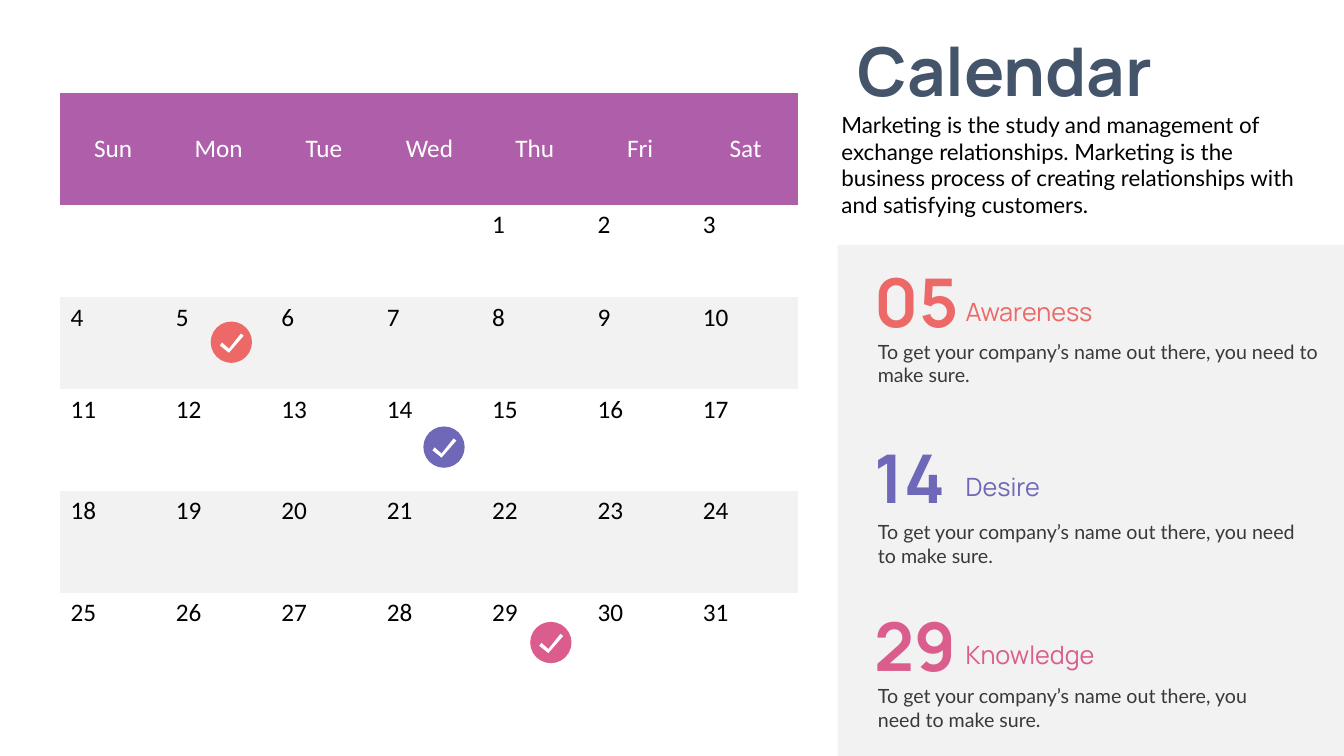
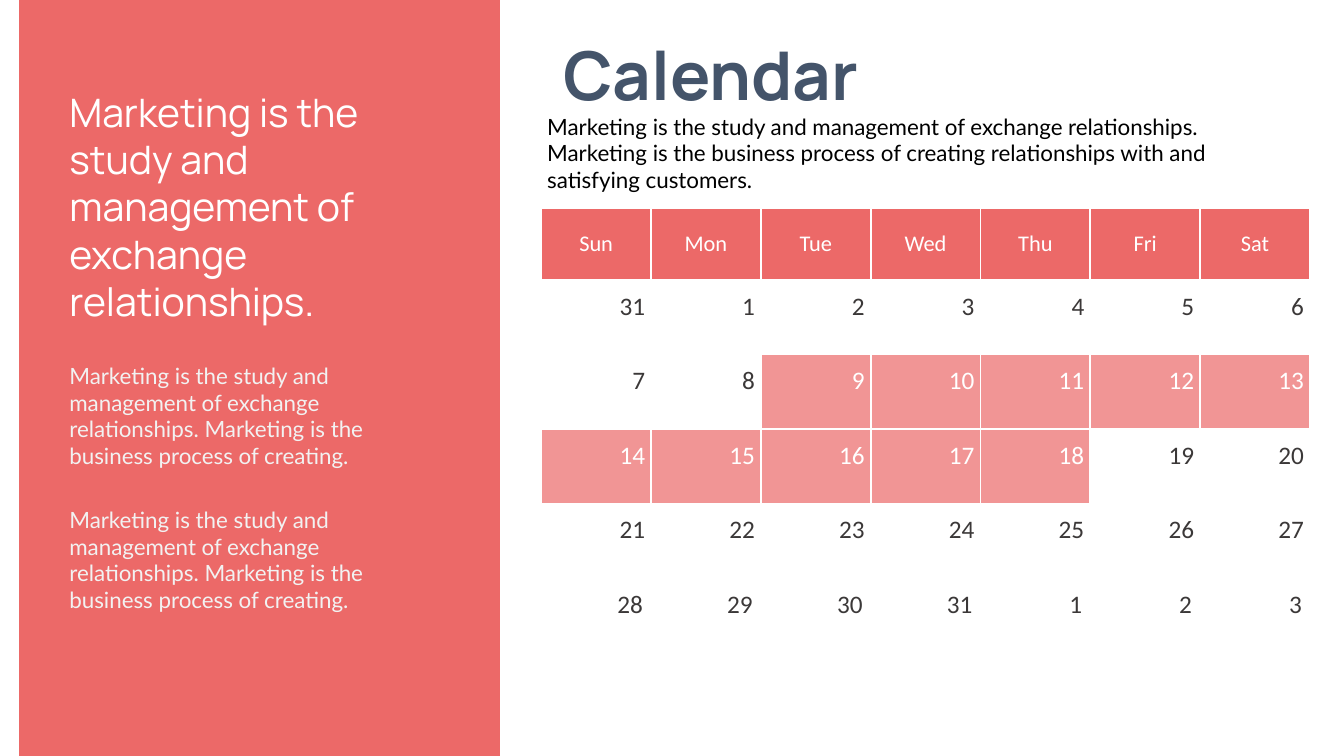
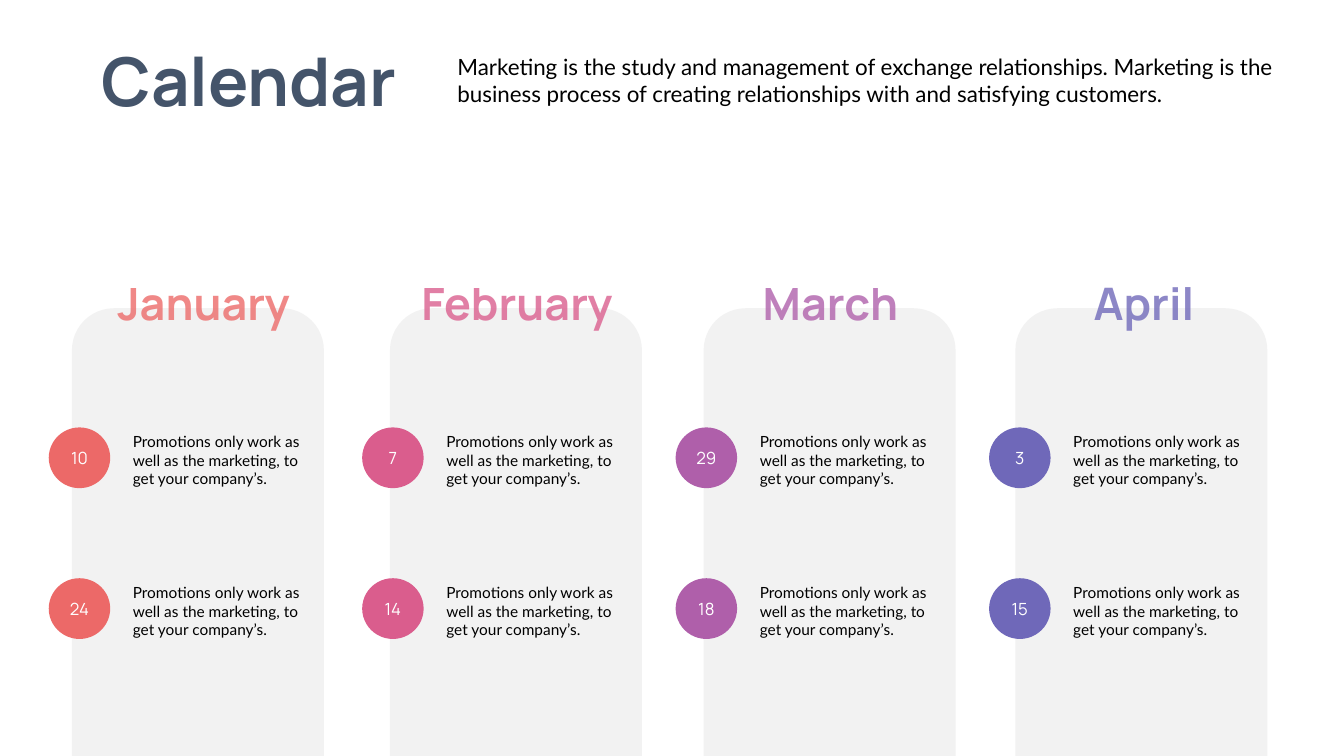
from lxml import etree
from pptx import Presentation
from pptx.dml.color import RGBColor
from pptx.enum import shapes, text
from pptx.oxml.ns import qn
from pptx.util import Pt

COLOURS = {
    "title": "44546A", "black": "000000", "dark": "3B3838",
    "white": "FFFFFF", "grey": "F2F2F2",
    "coral": "EC6968", "pink": "DA5D8D", "purple": "AF5FAA", "violet": "6F68B9",
}
LEFT, CENTER, RIGHT = (text.PP_ALIGN.LEFT, text.PP_ALIGN.CENTER, text.PP_ALIGN.RIGHT)
TOP, MIDDLE = text.MSO_ANCHOR.TOP, text.MSO_ANCHOR.MIDDLE
SHAPE = shapes.MSO_SHAPE
NO_MARGINS = (0, 0, 0, 0)
NO_TABLE_STYLE = "{2D5ABB26-0587-4C30-8999-92F81FD0307C}"


def write(holder, words, size=16, colour="black", font="Lato", bold=False, align=LEFT,
          anchor=TOP, margins=(7.2, 3.6, 7.2, 3.6), spacing=1.0, wrap=True, opacity=None):
    """Put formatted text into a shape or a table cell."""
    frame = holder.text_frame
    frame.word_wrap = wrap
    area = holder if hasattr(holder, "margin_left") else frame
    area.vertical_anchor = anchor
    area.margin_left, area.margin_top, area.margin_right, area.margin_bottom = map(Pt, margins)
    paragraph = frame.paragraphs[0]
    paragraph.alignment = align
    paragraph.line_spacing = spacing
    run = paragraph.add_run()
    run.text = words
    run.font.name, run.font.size, run.font.bold = font, Pt(size), bold
    run.font.color.rgb = RGBColor.from_string(COLOURS[colour])
    if opacity:
        for tint in run._r.iter(qn("a:srgbClr")):
            etree.SubElement(tint, qn("a:alpha"), val=str(opacity * 1000))


def add_item(slide, box, kind=None, colour=None):
    """Add a filled preset shape, or a text box when no kind is given."""
    box = [Pt(length) for length in box]
    if kind is None:
        return slide.shapes.add_textbox(*box)
    shape = slide.shapes.add_shape(kind, *box)
    shape.shadow.inherit = False
    shape.fill.solid()
    shape.fill.fore_color.rgb = RGBColor.from_string(COLOURS[colour])
    shape.line.fill.background()
    return shape


presentation = Presentation()
presentation.slide_width, presentation.slide_height = Pt(960), Pt(540)

# Title and introduction of every slide
INTRO = ("Marketing is the study and management of exchange relationships. Marketing is "
         "the business process of creating relationships with and satisfying customers.")
slides = []
for title_left, title_top, intro_box in [
    (594, 17.3, (594, 75.6, 340, 85)),
    (383.8, 20.2, (383.8, 77, 549.4, 65.5)),
    (54, 24.5, (319.7, 34.6, 622, 46)),
]:
    slide = presentation.slides.add_slide(presentation.slide_layouts[5])
    title = slide.shapes.title
    title.left, title.top, title.width, title.height = map(Pt, (title_left, title_top, 247.7, 65.5))
    write(title, "Calendar", size=48, colour="title", font="Manrope", bold=True,
          align=CENTER, anchor=MIDDLE, wrap=False)
    write(add_item(slide, intro_box), INTRO)
    slides.append(slide)
events_slide, period_slide, months_slide = slides

# Month tables
WEEKDAYS = ["Sun", "Mon", "Tue", "Wed", "Thu", "Fri", "Sat"]
month_tables = [
    dict(slide=events_slide, left=43.2, top=66.4, column=75.3,
         rows=[80, 66, 65.7, 72.6, 72.6, 72.6], days=[""] * 4 + list(range(1, 32)),
         header="purple", header_size=18, ink="black", align=LEFT,
         margins=(7.2, 3.6, 7.2, 3.6), striped=True, period=()),
    dict(slide=period_slide, left=386.6, top=148.6, column=78.45,
         rows=[51.4] + [53.3] * 4 + [65.4], days=[31, *range(1, 32), 1, 2, 3],
         header="coral", header_size=16, ink="dark", align=RIGHT,
         margins=(7.9, 7.9, 4.3, 2.2), striped=False, period=range(9, 19)),
]
for month in month_tables:
    table = month["slide"].shapes.add_table(
        6, 7, Pt(month["left"]), Pt(month["top"]),
        Pt(month["column"] * 7), Pt(sum(month["rows"]))).table
    table._tbl.tblPr.find(qn("a:tableStyleId")).text = NO_TABLE_STYLE
    for column in table.columns:
        column.width = Pt(month["column"])
    for row, height in zip(table.rows, month["rows"]):
        row.height = Pt(height)
    for index, label in enumerate(WEEKDAYS + month["days"]):
        row_number, column_number = divmod(index, 7)
        cell = table.cell(row_number, column_number)
        in_period = index - 7 in month["period"]
        if row_number == 0:
            fill = month["header"]
            write(cell, label, size=month["header_size"], colour="white", font="Calibri",
                  align=CENTER, anchor=MIDDLE)
        else:
            shaded = month["striped"] and row_number % 2 == 0
            fill = "coral" if in_period else "grey" if shaded else None
            margins = month["margins"]
            if row_number == 5 and not month["striped"]:
                margins = (7.9, 7.9, 5.8, 2.9)
            if label:
                write(cell, str(label), size=18, colour="white" if in_period else month["ink"],
                      font="Calibri", align=month["align"], margins=margins)
        if fill:
            cell.fill.solid()
            cell.fill.fore_color.rgb = RGBColor.from_string(COLOURS[fill])
        else:
            cell.fill.background()
        properties = cell._tc.get_or_add_tcPr()
        if in_period:
            for tint in properties.iter(qn("a:srgbClr")):
                etree.SubElement(tint, qn("a:alpha"), val="70000")
        if not month["striped"]:
            for position, side in enumerate(["lnL", "lnR", "lnT", "lnB"]):
                border = etree.Element(qn("a:" + side), w=str(Pt(1.5)))
                border_fill = etree.SubElement(border, qn("a:solidFill"))
                etree.SubElement(border_fill, qn("a:srgbClr"), val=COLOURS["white"])
                properties.insert(position, border)

# Slide 1: event panel, with a check mark on each date
EVENT_TEXT = "To get your company’s name out there, you need to make sure."
CHECK_MARK = [(21.6, 8.6), (23.6, 10.1), (13, 22.3), (6.5, 17.1), (8.1, 15), (13, 19.4)]
add_item(events_slide, (598.3, 175, 361.7, 365), SHAPE.RECTANGLE, "grey")
for day, name, colour, top, text_top, text_width, check_left, check_top in [
    ("05", "Awareness", "coral", 191.5, 239, 340, 150.5, 229.7),
    ("14", "Desire", "violet", 316.8, 368, 322.6, 302.4, 304.6),
    ("29", "Knowledge", "pink", 437, 485.3, 309, 378.7, 444.2),
]:
    add_item(events_slide, (check_left, check_top, 29.5, 29.5), SHAPE.OVAL, colour)
    points = [(Pt(check_left + x), Pt(check_top + y)) for x, y in CHECK_MARK]
    builder = events_slide.shapes.build_freeform(*points[0])
    builder.add_line_segments(points[1:], close=True)
    check = builder.convert_to_shape()
    check.shadow.inherit = False
    check.fill.solid()
    check.fill.fore_color.rgb = RGBColor.from_string(COLOURS["white"])
    check.line.fill.background()

    heading = dict(colour=colour, font="Manrope", anchor=MIDDLE, margins=NO_MARGINS, spacing=0.9)
    write(add_item(events_slide, (625, top, 72, 54)), day, size=48, bold=True, **heading)
    write(add_item(events_slide, (689.8, top + 22, 131.8, 20.2)), name, size=18, **heading)
    write(add_item(events_slide, (620, text_top, text_width, 41)), EVENT_TEXT,
          size=14, colour="dark")

# Slide 2: coloured side panel
SIDE_TEXT = ("Marketing is the study and management of exchange relationships. "
             "Marketing is the business process of creating.")
add_item(period_slide, (13.7, 0, 343.4, 540), SHAPE.RECTANGLE, "coral")
write(add_item(period_slide, (42.5, 59.8, 285.8, 177)),
      "Marketing is the study and management of exchange relationships.",
      size=28, colour="white", font="Manrope")
for top in (254.9, 357.8):
    write(add_item(period_slide, (42.5, top, 285.8, 85)), SIDE_TEXT, colour="grey")

# Slide 3: one column for each month
PROMOTION_TEXT = "Promotions only work as well as the marketing, to get your company’s."
for number, (name, colour, panel_left, dates) in enumerate([
    ("January", "coral", 51.4, ("10", "24")),
    ("February", "pink", 278.6, ("7", "14")),
    ("March", "purple", 502.6, ("29", "18")),
    ("April", "violet", 725.3, ("3", "15")),
]):
    left = 34.8 + number * 223.9
    add_item(months_slide, (panel_left, 220.2, 180, 319.8), SHAPE.ROUND_2_SAME_RECTANGLE, "grey")
    write(add_item(months_slide, (left + 23.5, 193.7, 174.2, 46)), name, size=32, colour=colour,
          font="Manrope", bold=True, align=CENTER, opacity=79)
    for date, top in zip(dates, (305.3, 413)):
        circle = add_item(months_slide, (left, top, 43.9, 43.4), SHAPE.OVAL, colour)
        write(circle, date, size=12, colour="white", font="Manrope", align=CENTER,
              anchor=MIDDLE, margins=NO_MARGINS)
        write(add_item(months_slide, (left + 53, top, 135.4, 47.5)), PROMOTION_TEXT, size=11)

presentation.save("out.pptx")
